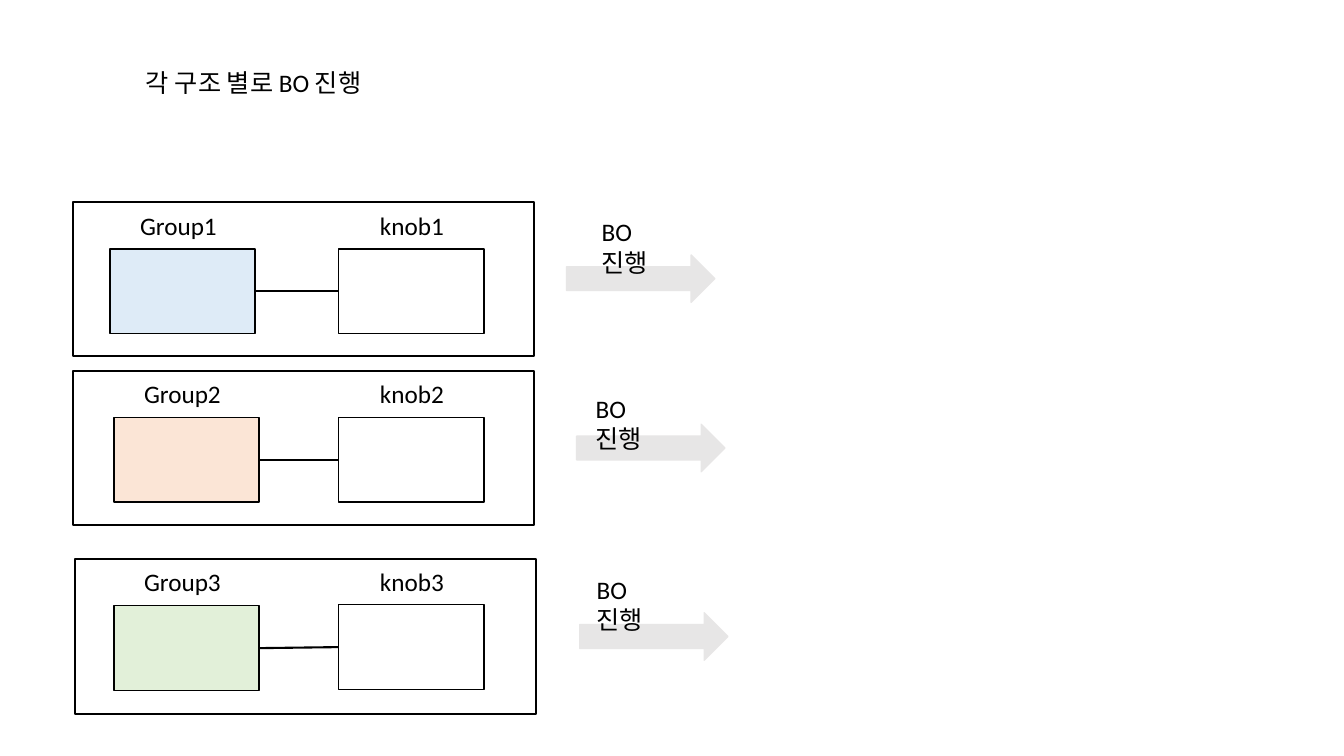
import pptx
import pptx.dml.color
import pptx.enum.shapes
import pptx.enum.text
import pptx.oxml.ns
import pptx.util
from lxml import etree

Inches = pptx.util.Inches
Pt = pptx.util.Pt
RGBColor = pptx.dml.color.RGBColor
SHAPE = pptx.enum.shapes.MSO_SHAPE

BLACK = RGBColor(0x00, 0x00, 0x00)
WHITE = RGBColor(0xFF, 0xFF, 0xFF)
GRAY = RGBColor(0xE7, 0xE6, 0xE6)
BLUE = RGBColor(0xDE, 0xEB, 0xF7)
ORANGE = RGBColor(0xFB, 0xE5, 0xD6)
GREEN = RGBColor(0xE2, 0xF0, 0xD9)

prs = pptx.Presentation()
prs.slide_width = Inches(13.33)
prs.slide_height = Inches(7.5)
s = prs.slides.add_slide(prs.slide_layouts[6])


def add_label(text, x, y, w, h, wrap=False):
    tf = s.shapes.add_textbox(Inches(x), Inches(y), Inches(w), Inches(h)).text_frame
    tf.word_wrap = wrap
    tf.auto_size = pptx.enum.text.MSO_AUTO_SIZE.SHAPE_TO_FIT_TEXT
    r = tf.paragraphs[0].add_run()
    r.text = text
    r.font.name = "Calibri"
    r.font.size = Pt(18)
    r.font.color.rgb = BLACK


def add_box(kind, x, y, w, h, fill, line=BLACK, width=1):
    """Add a flat shape; a fill of None leaves it see-through."""
    sp = s.shapes.add_shape(kind, Inches(x), Inches(y), Inches(w), Inches(h))
    sp.shadow.inherit = False
    if fill is None:
        sp.fill.background()
    else:
        sp.fill.solid()
        sp.fill.fore_color.rgb = fill
    sp.line.color.rgb = line
    sp.line.width = Pt(width)
    return sp


add_label("각 구조 별로 BO 진행", 1.35, 0.62, 2.5, 0.4)

# fill, frame x and y, group x and y, knob y, label y, arrow x and y, step x and y
rows = [
    (BLUE, 0.72, 2.0, 1.09, 2.47, 2.47, 2.04, 5.62, 2.53, 5.87, 2.1),
    (ORANGE, 0.72, 3.68, 1.13, 4.14, 4.14, 3.7, 5.72, 4.21, 5.81, 3.85),
    (GREEN, 0.74, 5.55, 1.13, 6.01, 6.0, 5.57, 5.75, 6.08, 5.82, 5.65),
]

for n, (fill, frame_x, frame_y, group_x, group_y, knob_y, label_y,
        arrow_x, arrow_y, step_x, step_y) in enumerate(rows, 1):
    add_box(SHAPE.RECTANGLE, frame_x, frame_y, 4.58, 1.53, None, width=1.5)
    group = add_box(SHAPE.RECTANGLE, group_x, group_y, 1.44, 0.84, fill)
    knob = add_box(SHAPE.RECTANGLE, 3.36, knob_y, 1.44, 0.84, WHITE)
    add_label(f"Group{n}", group_x + 0.2, label_y, 0.98, 0.35)
    add_label(f"knob{n}", 3.67, label_y, 0.85, 0.35)

    link = s.shapes.add_connector(pptx.enum.shapes.MSO_CONNECTOR.STRAIGHT, 0, 0, 0, 0)
    link.begin_connect(group, 3)
    link.end_connect(knob, 1)
    link.line.color.rgb = BLACK
    link.line.width = Pt(1.5)
    etree.SubElement(link.element.spPr, pptx.oxml.ns.qn("a:effectLst"))

    add_box(SHAPE.RIGHT_ARROW, arrow_x, arrow_y, 1.47, 0.47, GRAY, GRAY)
    add_label("BO 진행", step_x, step_y, 1.0, 0.4, wrap=True)

prs.save("out.pptx")
